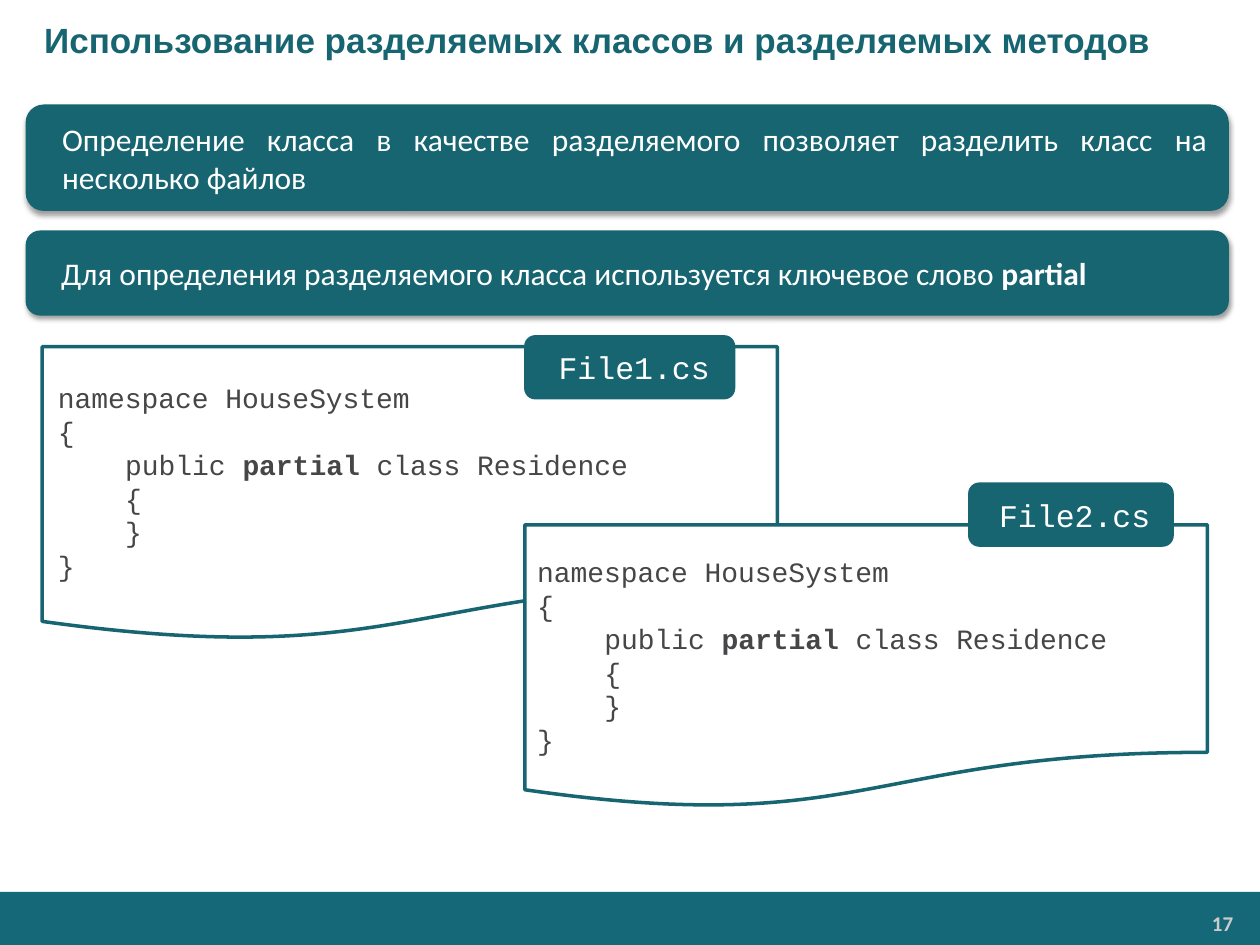
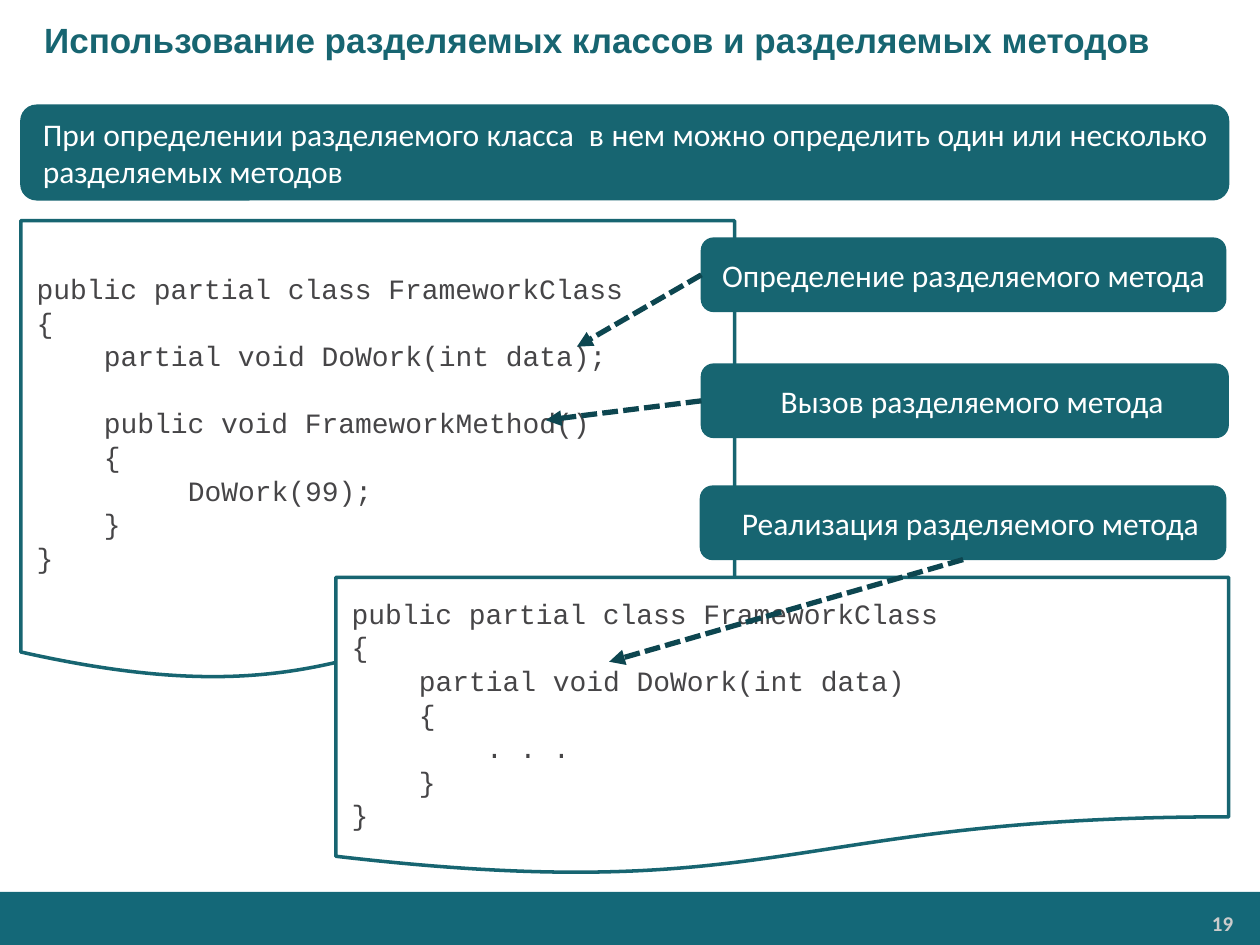
from dataclasses import dataclass
from typing import NamedTuple

from lxml.etree import SubElement
from pptx import Presentation
from pptx.dml.color import RGBColor
from pptx.enum.dml import MSO_LINE
from pptx.enum.shapes import MSO_CONNECTOR, MSO_SHAPE
from pptx.enum.text import MSO_ANCHOR, PP_ALIGN
from pptx.oxml.ns import qn
from pptx.util import Cm, Pt


class Box(NamedTuple):
    """A rectangle in centimetres."""
    left: float
    top: float
    width: float
    height: float

    def lengths(self):
        return [Cm(value) for value in self]


@dataclass(frozen=True)
class TextStyle:
    font: str
    size: float
    color: str
    bold: bool = False


@dataclass(frozen=True)
class Theme:
    teal: str = "176571"
    band: str = "146878"
    arrow: str = "0D4650"
    paper: str = "FFFFFF"
    title: TextStyle = TextStyle("Arial", 20, "176571", True)
    label: TextStyle = TextStyle("Calibri", 18, "FFFFFF")
    file_name: TextStyle = TextStyle("Courier New", 18, "FFFFFF")
    code: TextStyle = TextStyle("Courier New", 16, "464547")
    page_number: TextStyle = TextStyle("Calibri", 12, "CCCCCC", True)
    code_column: float = 9.6
    code_line: float = 19.2


THEME = Theme()
SLIDE = Box(0, 0, 25.4, 19.05)
WIDE_INSETS = (0.32, 0.16)
NORMAL_INSETS = (0.25, 0.13)
TITLE = "Использование разделяемых классов и разделяемых методов"
LEFT_SITE, BOTTOM_SITE = 1, 2

RESIDENCE_CODE = """namespace HouseSystem
{
    public **partial** class Residence
    {
    }
}"""

FRAMEWORK_CODE = """public partial class FrameworkClass
{
    partial void DoWork(int data);

    public void FrameworkMethod()
    {
         DoWork(99);
    }
}"""

IMPLEMENTATION_CODE = """public partial class FrameworkClass
{
    partial void DoWork(int data)
    {
        . . .
    }
}"""


def set_frame(frame, insets, anchor=MSO_ANCHOR.MIDDLE):
    frame.word_wrap = True
    frame.vertical_anchor = anchor
    frame.margin_left = frame.margin_right = Cm(insets[0])
    frame.margin_top = frame.margin_bottom = Cm(insets[1])


def write(paragraph, text, style, align=PP_ALIGN.LEFT, indent=0):
    """Fill a paragraph; parts between ** marks are bold."""
    paragraph.alignment = align
    paragraph._p.get_or_add_pPr().set("marL", str(int(indent)))
    for index, part in enumerate(text.split("**")):
        if not part:
            continue
        run = paragraph.add_run()
        run.text = part
        run.font.name = style.font
        run.font.size = Pt(style.size)
        run.font.bold = style.bold or index % 2 == 1
        run.font.color.rgb = RGBColor.from_string(style.color)


def add_panel(slide, kind, box, fill, line=None, line_width=0.75):
    shape = slide.shapes.add_shape(kind, *box.lengths())
    shape.shadow.inherit = False
    shape.fill.solid()
    shape.fill.fore_color.rgb = RGBColor.from_string(fill)
    if line:
        shape.line.color.rgb = RGBColor.from_string(line)
        shape.line.width = Pt(line_width)
    else:
        shape.line.fill.background()
    return shape


def add_soft_shadow(shape):
    effects = shape._element.spPr.find(qn("a:effectLst"))
    shadow = SubElement(effects, qn("a:outerShdw"), blurRad=str(Pt(3.1)),
                        dist=str(Pt(1.6)), dir="5400000", rotWithShape="0")
    color = SubElement(shadow, qn("a:srgbClr"), val="000000")
    SubElement(color, qn("a:alpha"), val="38000")


def add_label(slide, box, text, style=THEME.label, align=PP_ALIGN.JUSTIFY,
              indent=0.3, insets=WIDE_INSETS):
    shape = add_panel(slide, MSO_SHAPE.ROUNDED_RECTANGLE, box, THEME.teal, THEME.teal)
    set_frame(shape.text_frame, insets)
    write(shape.text_frame.paragraphs[0], text, style, align, Cm(indent))
    return shape


def add_code_card(slide, box, code, insets=WIDE_INSETS):
    """Draw a document card; leading spaces become indents, empty lines become gaps."""
    shape = add_panel(slide, MSO_SHAPE.FLOWCHART_DOCUMENT, box, THEME.paper, THEME.teal, 2)
    frame = shape.text_frame
    set_frame(frame, insets)
    frame.margin_top += Pt(THEME.code_line)
    paragraph, gap = frame.paragraphs[0], 0
    for number, line in enumerate(code.split("\n")):
        text = line.lstrip()
        if not text:
            gap += THEME.code_line
            continue
        if number:
            paragraph = frame.add_paragraph()
        columns = len(line) - len(text)
        write(paragraph, text, THEME.code, indent=Pt(columns * THEME.code_column))
        paragraph.line_spacing = Pt(THEME.code_line)
        paragraph.space_before = Pt(gap)
        gap = 0


def add_file(slide, box, tab, name, code, insets):
    """Draw a code card with a name tab; the tab is placed relative to the card."""
    add_code_card(slide, box, code, insets)
    tab_box = Box(box.left + tab.left, box.top + tab.top, tab.width, tab.height)
    add_label(slide, tab_box, name, THEME.file_name, insets=insets)


def add_callout(slide, box, text, indent, site, target):
    """Draw a label with a dashed arrow from one of its sides to a target point."""
    label = add_label(slide, box, text, align=PP_ALIGN.CENTER, indent=indent)
    x, y = (Cm(value) for value in target)
    arrow = slide.shapes.add_connector(MSO_CONNECTOR.STRAIGHT, x, y, x, y)
    arrow.begin_connect(label, site)
    arrow.line.color.rgb = RGBColor.from_string(THEME.arrow)
    arrow.line.width = Pt(3)
    arrow.line.dash_style = MSO_LINE.SQUARE_DOT
    SubElement(arrow.line._get_or_add_ln(), qn("a:tailEnd"), type="triangle")
    SubElement(arrow._element.spPr, qn("a:effectLst"))


def add_title(slide, box):
    frame = slide.shapes.add_textbox(*box.lengths()).text_frame
    set_frame(frame, NORMAL_INSETS)
    write(frame.paragraphs[0], TITLE, THEME.title, indent=Cm(0.64))


def add_footer(slide, box, number):
    add_panel(slide, MSO_SHAPE.RECTANGLE, box, THEME.band)
    number_box = Box(box.left + 20.9, box.top + 0.28, 4.14, 0.71)
    frame = slide.shapes.add_textbox(*number_box.lengths()).text_frame
    set_frame(frame, (0.18, 0.1), MSO_ANCHOR.TOP)
    write(frame.paragraphs[0], str(number), THEME.page_number, PP_ALIGN.RIGHT)


def add_base_slide(presentation, number):
    slide = presentation.slides.add_slide(presentation.slide_layouts[6])
    add_footer(slide, Box(0, 17.98, SLIDE.width, 1.07), number)
    add_title(slide, Box(0, 0, SLIDE.width, 1.6))
    return slide


def build_partial_classes(presentation):
    slide = add_base_slide(presentation, 17)
    statements = [
        (Box(0.53, 2.12, 24.23, 2.12),
         "Определение класса в качестве разделяемого позволяет разделить класс "
         "на несколько файлов"),
        (Box(0.53, 4.66, 24.23, 1.69),
         "Для определения разделяемого класса используется ключевое слово **partial**"),
    ]
    for box, text in statements:
        add_soft_shadow(add_label(slide, box, text))
    add_file(slide, Box(0.85, 6.99, 14.82, 5.93), Box(9.73, -0.22, 4.23, 1.27),
             "File1.cs", RESIDENCE_CODE, WIDE_INSETS)
    add_file(slide, Box(10.58, 10.58, 13.76, 5.72), Box(8.95, -0.84, 4.12, 1.27),
             "File2.cs", RESIDENCE_CODE, NORMAL_INSETS)


def build_partial_methods(presentation):
    slide = add_base_slide(presentation, 19)
    add_label(slide, Box(0.42, 2.12, 24.35, 1.91),
              "При определении разделяемого класса  в нем можно определить один "
              "или несколько разделяемых методов", indent=0.03)
    add_code_card(slide, Box(0.42, 4.45, 14.39, 9.31), FRAMEWORK_CODE)
    add_code_card(slide, Box(6.77, 11.64, 18, 6.02), IMPLEMENTATION_CODE)
    callouts = [
        (Box(14.14, 4.8, 10.57, 1.48), "Определение разделяемого метода",
         0, LEFT_SITE, (11.63, 6.99)),
        (Box(14.14, 7.34, 10.62, 1.48), "Вызов разделяемого метода",
         0.3, LEFT_SITE, (11, 8.47)),
        (Box(14.12, 9.8, 10.59, 1.48), "Реализация разделяемого метода",
         0.3, BOTTOM_SITE, (12.28, 13.34)),
    ]
    for callout in callouts:
        add_callout(slide, *callout)


def main():
    presentation = Presentation()
    presentation.slide_width = Cm(SLIDE.width)
    presentation.slide_height = Cm(SLIDE.height)
    build_partial_classes(presentation)
    build_partial_methods(presentation)
    presentation.save("out.pptx")


if __name__ == "__main__":
    main()
